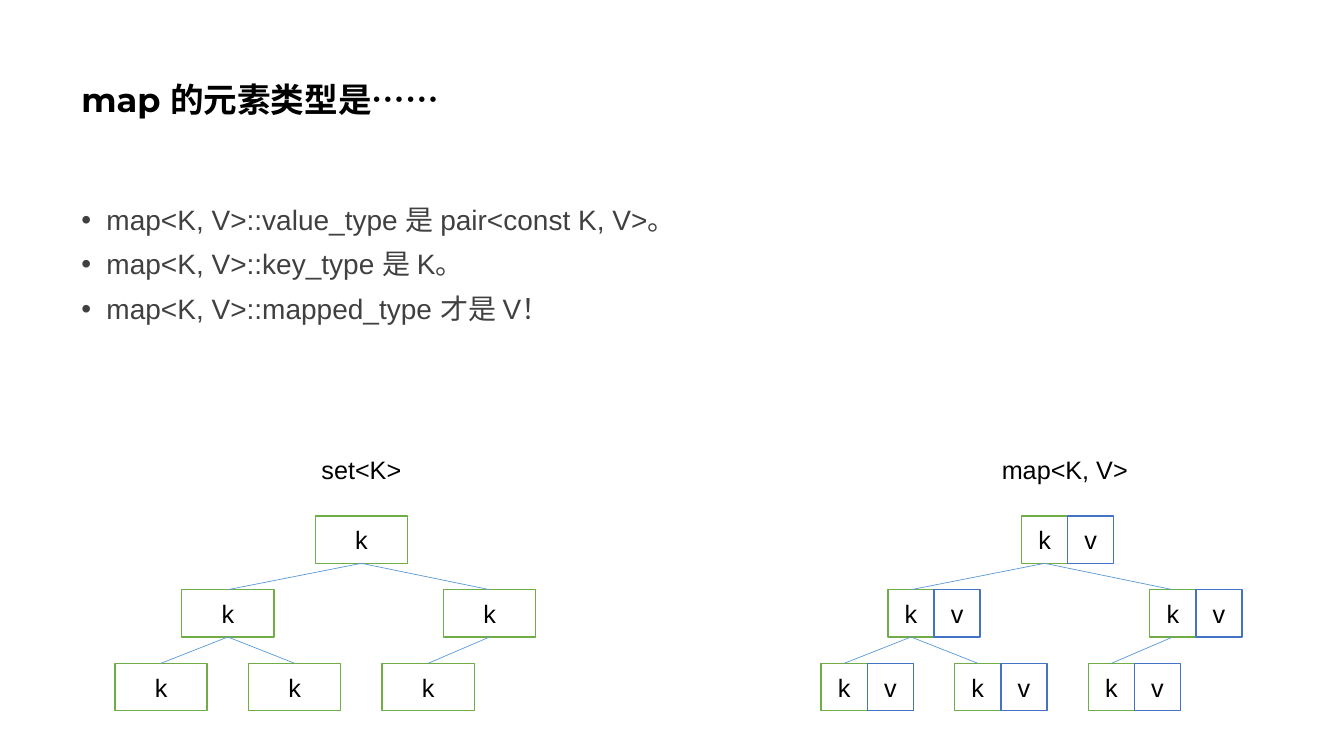
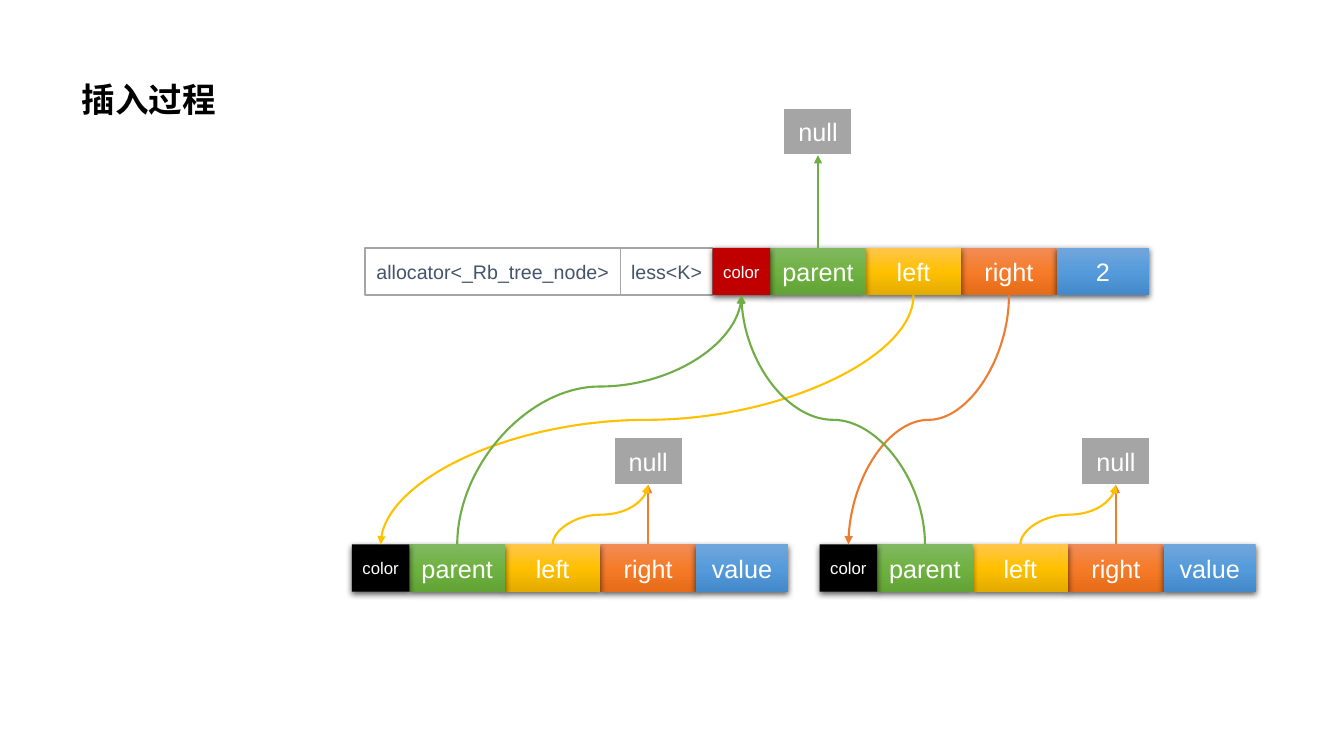
from lxml import etree
from pptx import Presentation
from pptx.dml.color import RGBColor
from pptx.enum.shapes import MSO_CONNECTOR, MSO_SHAPE
from pptx.enum.text import MSO_ANCHOR, PP_ALIGN
from pptx.oxml.ns import qn
from pptx.util import Pt

RECTANGLE = MSO_SHAPE.RECTANGLE
STRAIGHT, CURVE = MSO_CONNECTOR.STRAIGHT, MSO_CONNECTOR.CURVE
MIDDLE, TOP = MSO_ANCHOR.MIDDLE, MSO_ANCHOR.TOP
LEFT, CENTER = PP_ALIGN.LEFT, PP_ALIGN.CENTER
TOP_SIDE, BOTTOM_SIDE = 0, 2

COLORS = {
    "black": "000000", "white": "FFFFFF", "body": "404040", "slate": "44546A",
    "gray": "A5A5A5", "red": "C00000", "key": "70AD47", "value": "4472C4",
    "edge": "5B9BD5", "parent": "70AD47", "left": "FFC000", "right": "ED7D31",
}
GRADIENTS = {
    "parent": ("81B861", "6FB242", "62A336"),
    "left": ("FFC64B", "FFC000", "E3AB00"),
    "right": ("F18C57", "F67B28", "E56C19"),
    "value": ("71A6DB", "559BDB", "448ACA"),
}
BODY_FONT, TITLE_FONT = "Arial", "Montserrat"
BOX_HEIGHT = 33.8
NODE_WIDTH, LEAF_PITCH, LEVEL_PITCH = 65.9, 95.4, 52.6
TREE_NODES = [
    (0.5 * LEAF_PITCH, 1), (0, 2), (LEAF_PITCH, 2),
    (1.5 * LEAF_PITCH, 0), (234.7, 1), (2 * LEAF_PITCH, 2),
]
TREE_EDGES = [(0, 1), (0, 2), (3, 0), (3, 4), (4, 5)]
FIELD_WIDTHS = {"color": 41.2, "parent": 68.2, "left": 68.2, "right": 68.2, "value": 65.8}
DRAW_ORDER = ("right", "left", "parent", "color", "value")
NULL_WIDTH = 49.4


def rgb(name):
    return RGBColor.from_string(COLORS[name])


def add_element(parent, tag, **attributes):
    return etree.SubElement(parent, qn(tag), attributes)


def format_text(shape, size, color, align=LEFT, anchor=TOP, font=BODY_FONT, bold=False):
    shape.text_frame.vertical_anchor = anchor
    for paragraph in shape.text_frame.paragraphs:
        paragraph.alignment = align
        for run in paragraph.runs:
            run.font.name = font
            run.font.size = Pt(size)
            run.font.bold = bold
            run.font.color.rgb = rgb(color)


def add_title_slide(presentation, title):
    slide = presentation.slides.add_slide(presentation.slide_layouts[5])
    shape = slide.shapes.title
    shape.left, shape.top, shape.width, shape.height = Pt(51), Pt(20.3), Pt(828), Pt(104.4)
    shape.text_frame.text = title
    shape.text_frame.paragraphs[0].line_spacing = 0.9
    format_text(shape, 24, "black", anchor=MIDDLE, font=TITLE_FONT, bold=True)
    return slide


def add_bullets(slide, left, top, width, height, lines):
    shape = slide.shapes.add_textbox(Pt(left), Pt(top), Pt(width), Pt(height))
    shape.text_frame.word_wrap = True
    shape.text_frame.text = "\n".join(lines)
    for index, paragraph in enumerate(shape.text_frame.paragraphs):
        properties = paragraph._p.get_or_add_pPr()
        properties.set("marL", str(Pt(18)))
        properties.set("indent", str(-Pt(18)))
        add_element(properties, "a:buFont", typeface=BODY_FONT)
        add_element(properties, "a:buChar", char="•")
        paragraph.line_spacing = 0.9
        paragraph.space_before = Pt(10 if index else 0)
    format_text(shape, 20, "body")


def add_box(slide, left, top, width, text, size=18, color="black", fill="white",
            line=None, line_width=1):
    shape = slide.shapes.add_shape(RECTANGLE, Pt(left), Pt(top), Pt(width), Pt(BOX_HEIGHT))
    shape.shadow.inherit = False
    shape.fill.solid()
    shape.fill.fore_color.rgb = rgb(fill)
    if line:
        shape.line.color.rgb = rgb(line)
        shape.line.width = Pt(line_width)
    else:
        shape.line.fill.background()
    frame = shape.text_frame
    frame.margin_left = frame.margin_right = 0
    frame.text = text
    format_text(shape, size, color, CENTER, MIDDLE)
    return shape


def style_connector(connector, color, width, arrow):
    connector.line.color.rgb = rgb(color)
    connector.line.width = Pt(width)
    if arrow:
        add_element(connector.line._get_or_add_ln(), "a:tailEnd", type="triangle")
    add_element(connector._element.spPr, "a:effectLst")


def join(slide, start, start_side, end, end_side, color, width, arrow=False):
    connector = slide.shapes.add_connector(STRAIGHT, 0, 0, 0, 0)
    connector.begin_connect(start, start_side)
    connector.end_connect(end, end_side)
    style_connector(connector, color, width, arrow)


def side_middle(shape, side):
    return shape.left + shape.width // 2, shape.top + (shape.height if side == BOTTOM_SIDE else 0)


def add_curve(slide, start, start_side, end, end_side, color, bend=0.5):
    start_x, start_y = side_middle(start, start_side)
    end_x, end_y = side_middle(end, end_side)
    down = end_y > start_y
    length, spread = abs(end_y - start_y), abs(end_x - start_x)
    left = (start_x + end_x - length) // 2
    top = (start_y + end_y - spread) // 2
    begin, finish = top, top + spread
    if down == (end_x > start_x):
        begin, finish = finish, begin
    connector = slide.shapes.add_connector(CURVE, left, begin, left + length, finish)
    connector.rotation = 90 if down else 270
    guides = connector._element.spPr.find(qn("a:prstGeom")).find(qn("a:avLst"))
    add_element(guides, "a:gd", name="adj1", fmla=f"val {round(bend * 100000)}")
    style_connector(connector, color, 1.5, True)


def add_tree(slide, left, top, label, label_center, with_values):
    key_width = NODE_WIDTH / 2 if with_values else NODE_WIDTH
    places = [(left + x, top + level * LEVEL_PITCH) for x, level in TREE_NODES]
    keys = [add_box(slide, x, y, key_width, "k", line="key") for x, y in places]
    for parent, child in TREE_EDGES:
        join(slide, keys[parent], BOTTOM_SIDE, keys[child], TOP_SIDE, "edge", 0.5)
    if with_values:
        for x, y in places:
            add_box(slide, x + key_width, y, key_width, "v", line="value")
    caption = slide.shapes.add_textbox(
        Pt(left + label_center - 60), Pt(top - 47.5), Pt(120), Pt(29))
    caption.text_frame.word_wrap = True
    caption.text_frame.text = label
    format_text(caption, 18, "black", CENTER)


def add_glossy_effects(shape, field):
    properties = shape._element.spPr
    if field in GRADIENTS:
        shape.fill.gradient()
        shape.fill.gradient_angle = 270
        stops = properties.find(qn("a:gradFill")).find(qn("a:gsLst"))
        for stop in list(stops):
            stops.remove(stop)
        for index, value in enumerate(GRADIENTS[field]):
            stop = add_element(stops, "a:gs", pos=str(index * 50000))
            add_element(stop, "a:srgbClr", val=value)
    shadow = add_element(properties.find(qn("a:effectLst")), "a:outerShdw",
                         blurRad=str(Pt(4.5)), dist=str(Pt(1.5)), dir="5400000",
                         algn="ctr", rotWithShape="0")
    tint = add_element(shadow, "a:srgbClr", val=COLORS["black"])
    add_element(tint, "a:alpha", val="63000")


def add_record(slide, left, top, color_fill, value):
    offsets = {}
    for field, width in FIELD_WIDTHS.items():
        offsets[field] = left
        left += width
    cells = {}
    for field in DRAW_ORDER:
        cells[field] = add_box(
            slide, offsets[field], top, FIELD_WIDTHS[field],
            value if field == "value" else field,
            12 if field == "color" else 18, "white", color_fill)
        add_glossy_effects(cells[field], field)
    return cells


def add_null_above(slide, cells, field, top):
    center = side_middle(cells[field], TOP_SIDE)[0] / Pt(1)
    null = add_box(slide, center - NULL_WIDTH / 2, top, NULL_WIDTH, "null",
                   color="white", fill="gray", line="white", line_width=1.5)
    join(slide, cells[field], TOP_SIDE, null, BOTTOM_SIDE, field, 1.5, True)
    return null


def add_child(slide, root, side, left, top, bend):
    cells = add_record(slide, left, top, "black", "value")
    add_curve(slide, root[side], BOTTOM_SIDE, cells["color"], TOP_SIDE, side)
    add_curve(slide, cells["parent"], TOP_SIDE, root["color"], BOTTOM_SIDE, "parent", bend)
    null = add_null_above(slide, cells, "right", top - 76.4)
    add_curve(slide, cells["left"], TOP_SIDE, null, BOTTOM_SIDE, "left")


def build_element_type_slide(presentation):
    slide = add_title_slide(presentation, "map 的元素类型是……")
    add_bullets(slide, 51, 144, 828, 342.7, [
        "map<K, V>::value_type 是 pair<const K, V>。",
        "map<K, V>::key_type 是 K。",
        "map<K, V>::mapped_type 才是 V！",
    ])
    add_tree(slide, 82.1, 368.6, "set<K>", 176, False)
    add_tree(slide, 586.6, 368.6, "map<K, V>", 174, True)


def build_insertion_slide(presentation):
    slide = add_title_slide(presentation, "插入过程")
    root_left, root_top = 509, 177.1
    left = root_left
    for text, width in (("less<K>", 65.6), ("allocator<_Rb_tree_node>", 182.8)):
        left -= width
        add_box(slide, left, root_top, width, text, 14, "slate", line="gray")
    root = add_record(slide, root_left, root_top, "red", "2")
    add_null_above(slide, root, "parent", 77)
    add_child(slide, root, "left", 251.3, 388.9, 0.634)
    add_child(slide, root, "right", 585.4, 388.9, 0.5)


def main():
    presentation = Presentation()
    presentation.slide_width, presentation.slide_height = Pt(960), Pt(540)
    build_element_type_slide(presentation)
    build_insertion_slide(presentation)
    presentation.save("out.pptx")


if __name__ == "__main__":
    main()
